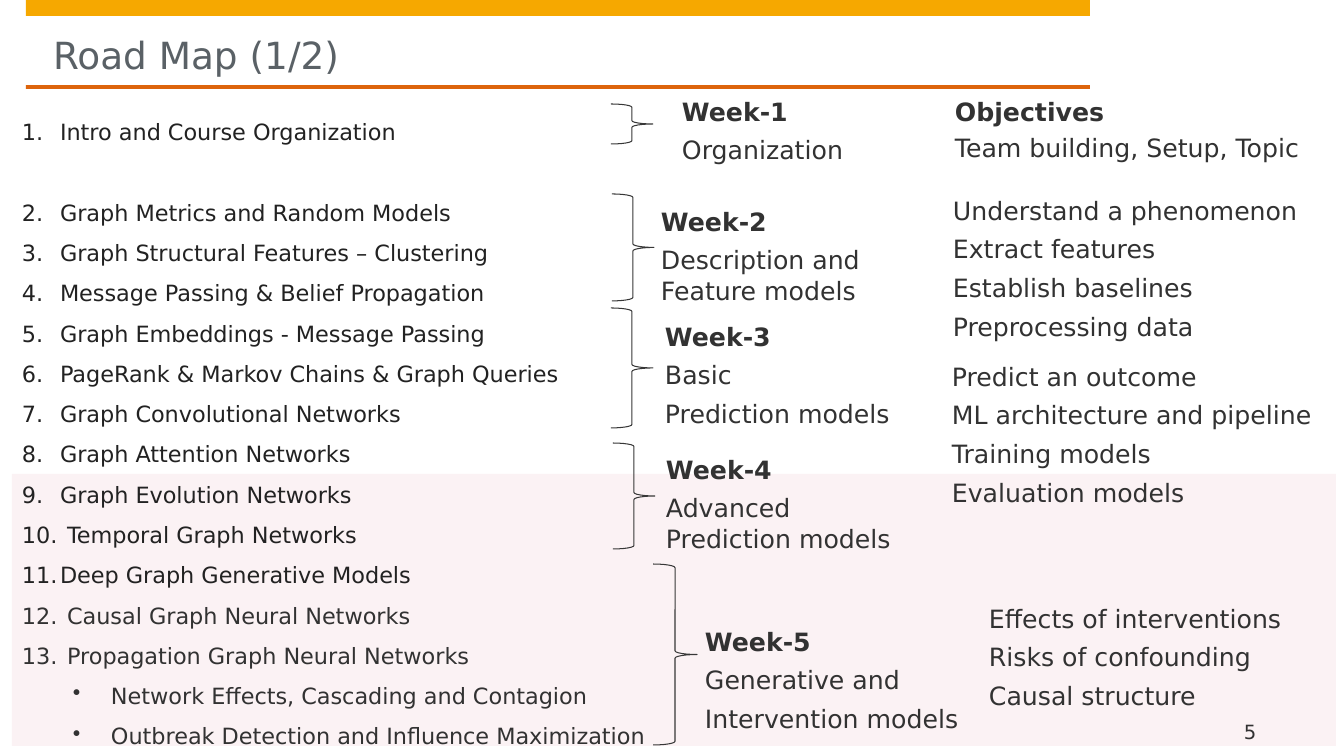
from dataclasses import dataclass

import pptx
import pptx.dml.color
import pptx.enum.shapes
import pptx.enum.text
import pptx.oxml.ns
import pptx.util
from lxml import etree

TITLE = "Road Map (1/2)"
PAGE_NUMBER = "5"
LECTURES = [
    "Intro and Course Organization",
    "Graph Metrics and Random Models",
    "Graph Structural Features – Clustering",
    "Message Passing & Belief Propagation",
    "Graph Embeddings - Message Passing",
    "PageRank & Markov Chains & Graph Queries",
    "Graph Convolutional Networks",
    "Graph Attention Networks",
    "Graph Evolution Networks",
    " Temporal Graph Networks",
    "Deep Graph Generative Models",
    " Causal Graph Neural Networks",
    " Propagation Graph Neural Networks",
]
SUBTOPICS = [
    "Network Effects, Cascading and Contagion",
    "Outbreak Detection and Influence Maximization",
]
FIRST_GREY_LECTURE = 11
# Each week: heading, lines, text box, brace (left, top, width, height in px)
WEEKS = [
    ("Week-1", ["Organization"], (682, 96, 263, 111), (611, 104, 42, 40)),
    ("Week-2", ["Description and Feature models"], (661, 206, 263, 111), (612, 194, 42, 107)),
    ("Week-3", ["Basic", "Prediction models"], (665, 321, 251, 108), (611, 308, 42, 120)),
    ("Week-4", ["Advanced Prediction models"], (666, 454, 251, 105), (613, 443, 42, 106)),
    ("Week-5", ["Generative and", "Intervention models"], (705, 626, 266, 78), (653, 564, 44, 181)),
]
OBJECTIVES_HEADING = ("Objectives", (955, 96, 290, 32))
OBJECTIVES = [
    (["Team building, Setup, Topic"], (955, 132, 371, 32)),
    (["Understand a phenomenon", "Extract features", "Establish baselines",
      "Preprocessing data"], (953, 195, 347, 157)),
    (["Predict an outcome", "ML architecture and pipeline", "Training models",
      "Evaluation models"], (952, 361, 374, 149)),
    (["Effects of interventions", "Risks of confounding", "Causal structure"],
     (989, 603, 310, 125)),
]


@dataclass(frozen=True)
class Theme:
    font: str = "DejaVu Sans"
    amber: str = "F6A800"
    orange: str = "DD640C"
    crimson: str = "B1063A"
    title: str = "5A6166"
    dark: str = "222222"
    grey: str = "323232"
    brace: str = "373737"
    title_size: float = 26.7
    body_size: int = 18
    list_size: int = 16
    number_size: int = 14


THEME = Theme()
EMU_PER_PX = 914400 / 100.8


def px(length):
    return pptx.util.Emu(round(length * EMU_PER_PX))


def rgb(code):
    return pptx.dml.color.RGBColor.from_string(code)


def add_preset(page, kind, box, fill=None, line=None, alpha=None):
    shape = page.shapes.add_shape(kind, *map(px, box))
    shape.shadow.inherit = False
    if fill:
        shape.fill.solid()
        shape.fill.fore_color.rgb = rgb(fill)
    else:
        shape.fill.background()
    if alpha:
        color = shape.fill.fore_color._xFill.find(".//" + pptx.oxml.ns.qn("a:srgbClr"))
        etree.SubElement(color, pptx.oxml.ns.qn("a:alpha"), val=str(alpha * 1000))
    if line:
        shape.line.color.rgb = rgb(line)
        shape.line.width = pptx.util.Pt(0.75)
    else:
        shape.line.fill.background()


def set_frame(frame, left=0, top=0):
    frame.word_wrap = True
    frame.auto_size = pptx.enum.text.MSO_AUTO_SIZE.NONE
    frame.vertical_anchor = pptx.enum.text.MSO_ANCHOR.TOP
    frame.margin_left, frame.margin_top = px(left), px(top)
    frame.margin_right = frame.margin_bottom = 0


def add_frame(page, box, left=0, top=0):
    frame = page.shapes.add_textbox(*map(px, box)).text_frame
    set_frame(frame, left, top)
    return frame


def write(frame, text, size=THEME.body_size, color=THEME.grey, bold=False,
          before=3, after=3, spacing=None):
    """Fill the empty first paragraph, or append one."""
    para = frame.paragraphs[0]
    if para.runs:
        para = frame.add_paragraph()
    para.alignment = pptx.enum.text.PP_ALIGN.LEFT
    para.space_before = pptx.util.Pt(before)
    para.space_after = pptx.util.Pt(after)
    if spacing:
        para.line_spacing = spacing
    span = para.add_run()
    span.text = text
    span.font.name = THEME.font
    span.font.size = pptx.util.Pt(size)
    span.font.bold = bold
    span.font.color.rgb = rgb(color)
    return para


def add_bullet(para, indent, tag, **attributes):
    properties = para._p.get_or_add_pPr()
    properties.set("marL", str(px(indent)))
    properties.set("indent", str(px(-38)))
    etree.SubElement(properties, pptx.oxml.ns.qn(tag), **attributes)


def add_lectures(page):
    frame = add_frame(page, (12, 100, 668, 656), left=10, top=5)
    style = {"size": THEME.list_size, "after": 0, "spacing": 1.5}
    for index, lecture in enumerate(LECTURES):
        color = THEME.grey if index >= FIRST_GREY_LECTURE else THEME.dark
        gap = 28.75 if index == 1 else 0
        para = write(frame, lecture, color=color, before=gap, **style)
        add_bullet(para, 38, "a:buAutoNum", type="arabicPeriod")
    for subtopic in SUBTOPICS:
        para = write(frame, subtopic, before=0, **style)
        para.level = 1
        add_bullet(para, 89, "a:buChar", char="•")


def main():
    deck = pptx.Presentation()
    deck.slide_width, deck.slide_height = px(1344), px(756)
    page = deck.slides.add_slide(deck.slide_layouts[5])
    shapes = pptx.enum.shapes.MSO_SHAPE

    add_preset(page, shapes.RECTANGLE, (26, 0, 1064, 16), fill=THEME.amber)
    add_preset(page, shapes.RECTANGLE, (26, 85, 1064, 4), fill=THEME.orange)
    add_preset(page, shapes.RECTANGLE, (12, 474, 1324, 272), fill=THEME.crimson, alpha=5)

    title = page.shapes.title
    title.left, title.top, title.width, title.height = map(px, (53, 16, 1011, 62))
    set_frame(title.text_frame, top=16)
    write(title.text_frame, TITLE, size=THEME.title_size, color=THEME.title,
          before=0, after=0)

    add_lectures(page)
    for heading, lines, text_box, brace_box in WEEKS:
        add_preset(page, shapes.RIGHT_BRACE, brace_box, line=THEME.brace)
        frame = add_frame(page, text_box)
        write(frame, heading, bold=True)
        for line in lines:
            write(frame, line)

    heading, box = OBJECTIVES_HEADING
    write(add_frame(page, box), heading, bold=True)
    for lines, box in OBJECTIVES:
        frame = add_frame(page, box)
        for line in lines:
            write(frame, line)

    write(add_frame(page, (1244, 720, 72, 24)), PAGE_NUMBER,
          size=THEME.number_size, before=0, after=0)
    deck.save("out.pptx")


if __name__ == "__main__":
    main()
